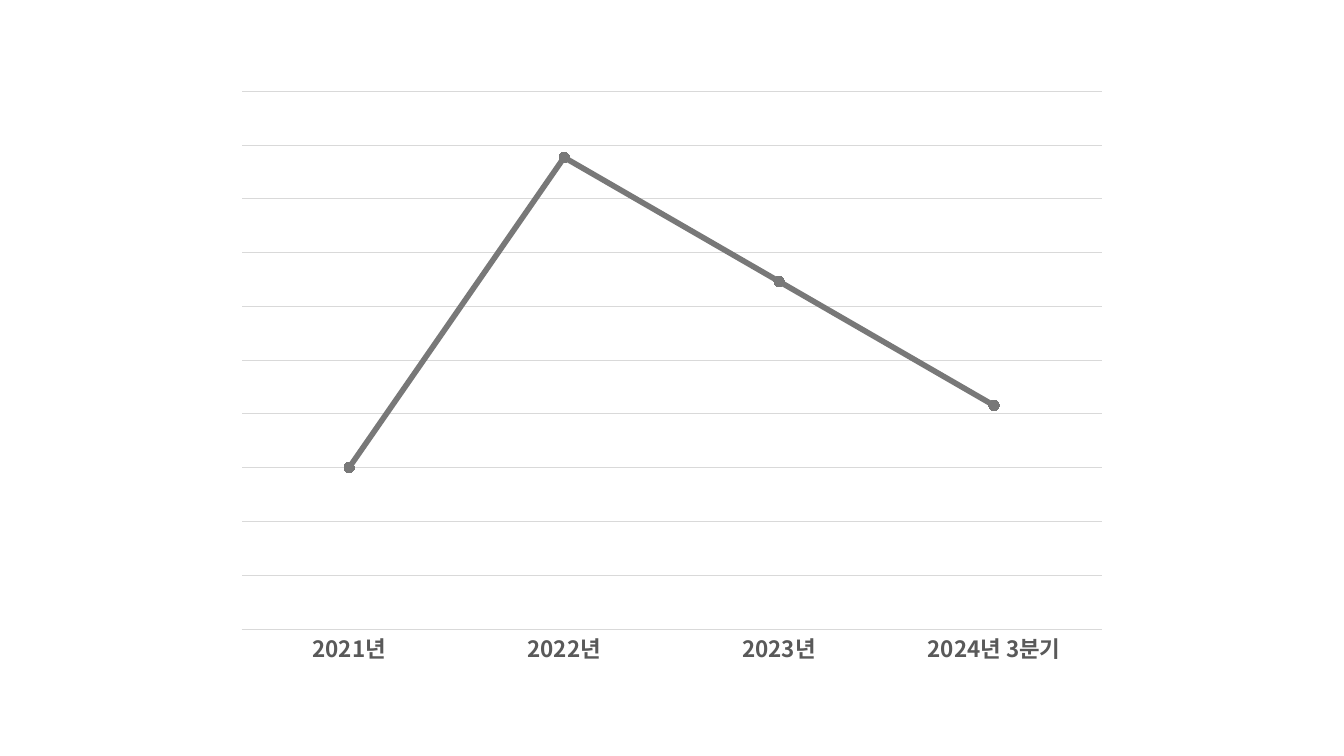
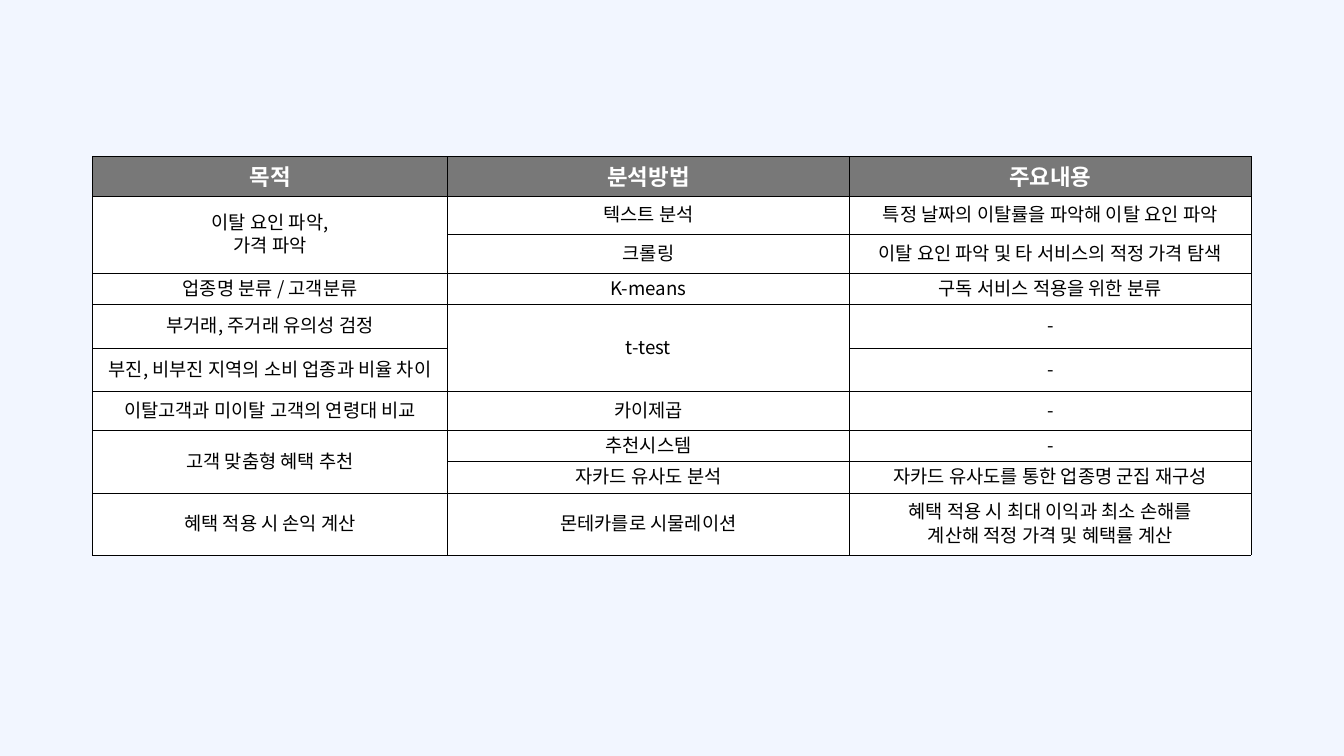
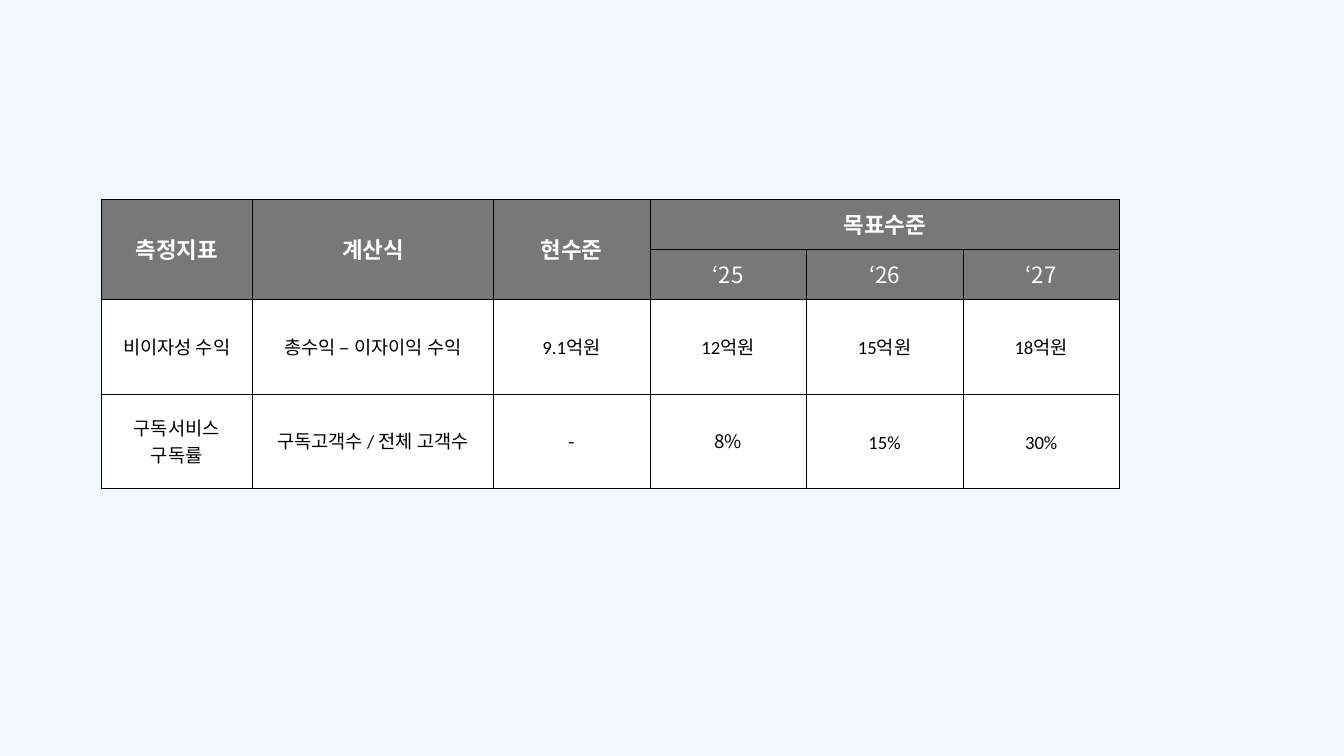
from dataclasses import dataclass

from lxml import etree
from pptx import Presentation
from pptx.chart.data import CategoryChartData
from pptx.dml.color import RGBColor
from pptx.enum.chart import XL_CHART_TYPE, XL_MARKER_STYLE, XL_TICK_MARK
from pptx.enum.text import MSO_ANCHOR, PP_ALIGN
from pptx.oxml import parse_xml
from pptx.oxml.ns import nsdecls, qn
from pptx.util import Inches, Pt

LINE_MARKERS = XL_CHART_TYPE.LINE_MARKERS
CIRCLE = XL_MARKER_STYLE.CIRCLE
NO_TICK = XL_TICK_MARK.NONE
CENTER = PP_ALIGN.CENTER
MIDDLE = MSO_ANCHOR.MIDDLE


@dataclass(frozen=True)
class Theme:
    white: str = "FFFFFF"
    black: str = "000000"
    pale_blue: str = "F2F6FF"
    gray: str = "787878"
    label: str = "595959"
    grid: str = "D9D9D9"
    korean: str = "Noto Sans CJK KR"
    latin: str = "Calibri"
    heading_size: float = 24
    body_size: float = 20
    heading_spacing: float = 33.8
    border_width: float = 0.6


def rgb(color):
    return RGBColor.from_string(color)


def set_font(font, *, size, color, name, bold=False):
    font.size, font.bold, font.name = Pt(size), bold, name
    font.color.rgb = rgb(color)


def write_text(text_frame, text, *, size, color, name, east_asian, bold, spacing):
    """Write one centred paragraph for each line of text."""
    for index, line in enumerate(text.split("\n")):
        paragraph = text_frame.add_paragraph() if index else text_frame.paragraphs[0]
        paragraph.alignment = CENTER
        paragraph.line_spacing = Pt(spacing)
        run = paragraph.add_run()
        run.text = line
        set_font(run.font, size=size, color=color, name=name, bold=bold)
        etree.SubElement(run._r.get_or_add_rPr(), qn("a:ea"), typeface=east_asian)


class Deck:
    def __init__(self, theme):
        self.theme = theme
        self.presentation = Presentation()
        self.presentation.slide_width = Inches(20)
        self.presentation.slide_height = Inches(11.25)
        self.slide = None

    def add_slide(self, background):
        self.slide = self.presentation.slides.add_slide(self.presentation.slide_layouts[6])
        fill = self.slide.background.fill
        fill.solid()
        fill.fore_color.rgb = rgb(background)

    def add_line_chart(self, box, categories, values, *, axis, plot):
        theme = self.theme
        data = CategoryChartData()
        data.categories = categories
        data.add_series("Series 1", values)
        frame = self.slide.shapes.add_chart(LINE_MARKERS, *map(Inches, box), data)
        chart = frame.chart
        chart.has_title = chart.has_legend = False
        set_font(chart.font, size=10, color=theme.black, name=theme.latin)

        # Axes
        category_axis, value_axis = chart.category_axis, chart.value_axis
        category_axis.major_tick_mark = NO_TICK
        set_font(category_axis.tick_labels.font, size=theme.heading_size,
                 color=theme.label, name=theme.korean, bold=True)
        value_axis.minimum_scale, value_axis.maximum_scale, value_axis.major_unit = axis
        value_axis.has_major_gridlines = True
        value_axis.visible = False
        for line in (category_axis.format.line, value_axis.major_gridlines.format.line):
            line.color.rgb = rgb(theme.grid)
            line.width = Pt(0.75)

        # Series
        series = chart.plots[0].series[0]
        series.smooth = False
        series.format.line.color.rgb = rgb(theme.gray)
        series.format.line.width = Pt(6)
        marker = series.marker
        marker.style, marker.size = CIRCLE, 11
        marker.format.fill.solid()
        marker.format.fill.fore_color.rgb = rgb(theme.gray)
        marker.format.line.color.rgb = rgb(theme.gray)

        # Inner plot area, as fractions of the chart
        plot_area = chart._chartSpace.chart.plotArea
        for old_layout in plot_area.findall(qn("c:layout")):
            plot_area.remove(old_layout)
        places = "".join(f'<c:{key} val="{value}"/>' for key, value in zip("xywh", plot))
        plot_area.insert(0, parse_xml(
            f'<c:layout {nsdecls("c")}><c:manualLayout><c:layoutTarget val="inner"/>'
            f'<c:xMode val="edge"/><c:yMode val="edge"/>{places}'
            '</c:manualLayout></c:layout>'))

    def add_table(self, left, top, columns, row_heights, rows, *, merges,
                  margins, spacing, header_rows=1, latin_cells=()):
        theme = self.theme
        box = (left, top, sum(columns), sum(row_heights))
        table = self.slide.shapes.add_table(
            len(rows), len(columns), *map(Inches, box)).table
        for column, width in zip(table.columns, columns):
            column.width = Inches(width)
        for row, height in zip(table.rows, row_heights):
            row.height = Inches(height)

        for row_index, row in enumerate(rows):
            header = row_index < header_rows
            for column_index, text in enumerate(row):
                cell = table.cell(row_index, column_index)
                self.style_cell(cell, theme.gray if header else theme.white, margins)
                if text is None:
                    continue
                latin = (row_index, column_index) in latin_cells
                write_text(
                    cell.text_frame, text,
                    size=theme.heading_size if header else theme.body_size,
                    color=theme.white if header else theme.black,
                    name=theme.latin if latin else theme.korean,
                    east_asian=theme.korean, bold=row_index == 0,
                    spacing=theme.heading_spacing if header else spacing)
        for first, last in merges:
            table.cell(*first).merge(table.cell(*last))

    def style_cell(self, cell, fill, margins):
        horizontal, vertical = map(Inches, margins)
        cell.margin_left = cell.margin_right = horizontal
        cell.margin_top = cell.margin_bottom = vertical
        cell.vertical_anchor = MIDDLE
        cell.fill.solid()
        cell.fill.fore_color.rgb = rgb(fill)
        properties = cell._tc.get_or_add_tcPr()
        for index, side in enumerate("LRTB"):
            properties.insert(index, parse_xml(
                f'<a:ln{side} {nsdecls("a")} w="{Pt(self.theme.border_width)}">'
                f'<a:solidFill><a:srgbClr val="{self.theme.black}"/></a:solidFill>'
                f'</a:ln{side}>'))


def add_trend_slide(deck):
    deck.add_slide(deck.theme.white)
    deck.add_line_chart(
        (3.33, 1.18, 13.33, 8.89),
        ["2021년", "2022년", "2023년", "2024년 3분기"], [85, 100, 94, 88],
        axis=(77.2, 103.2, 2.6), plot=(0.02, 0.02, 0.96, 0.9))


def add_methods_slide(deck):
    deck.add_slide(deck.theme.pale_blue)
    rows = [
        ["목적", "분석방법", "주요내용"],
        ["이탈 요인 파악,\n가격 파악", "텍스트 분석", "특정 날짜의 이탈률을 파악해 이탈 요인 파악"],
        [None, "크롤링", "이탈 요인 파악 및 타 서비스의 적정 가격 탐색"],
        ["업종명 분류 / 고객분류", "K-means", "구독 서비스 적용을 위한 분류"],
        ["부거래, 주거래 유의성 검정", "t-test", "-"],
        ["부진, 비부진 지역의 소비 업종과 비율 차이", None, "-"],
        ["이탈고객과 미이탈 고객의 연령대 비교", "카이제곱", "-"],
        ["고객 맞춤형 혜택 추천", "추천시스템", "-"],
        [None, "자카드 유사도 분석", "자카드 유사도를 통한 업종명 군집 재구성"],
        ["혜택 적용 시 손익 계산", "몬테카를로 시물레이션",
         "혜택 적용 시 최대 이익과 최소 손해를\n계산해 적정 가격 및 혜택률 계산"],
    ]
    deck.add_table(
        1.38, 2.33, [5.28, 5.98, 5.98],
        [0.59, 0.57, 0.57, 0.47, 0.65, 0.65, 0.57, 0.47, 0.47, 0.92], rows,
        merges=[((1, 0), (2, 0)), ((4, 1), (5, 1)), ((7, 0), (8, 0))],
        margins=(0.06, 0.03), spacing=25.5)


def add_targets_slide(deck):
    deck.add_slide(deck.theme.pale_blue)
    rows = [
        ["측정지표", "계산식", "현수준", "목표수준", None, None],
        [None, None, None, "‘25", "‘26", "‘27"],
        ["비이자성 수익", "총수익 – 이자이익 수익", "9.1억원", "12억원", "15억원", "18억원"],
        ["구독서비스\n구독률", "구독고객수 / 전체 고객수", "-", "8%", "15%", "30%"],
    ]
    latin_cells = {(2, column) for column in range(1, 6)} | {(3, 1), (3, 4), (3, 5)}
    deck.add_table(
        1.5, 2.96, [2.26, 3.58] + [2.33] * 4, [0.75] * 2 + [1.4] * 2, rows,
        merges=[((0, column), (1, column)) for column in range(3)] + [((0, 3), (0, 5))],
        margins=(0.07, 0.04), spacing=28.5, header_rows=2, latin_cells=latin_cells)


def main():
    deck = Deck(Theme())
    add_trend_slide(deck)
    add_methods_slide(deck)
    add_targets_slide(deck)
    deck.presentation.save("out.pptx")


if __name__ == "__main__":
    main()
